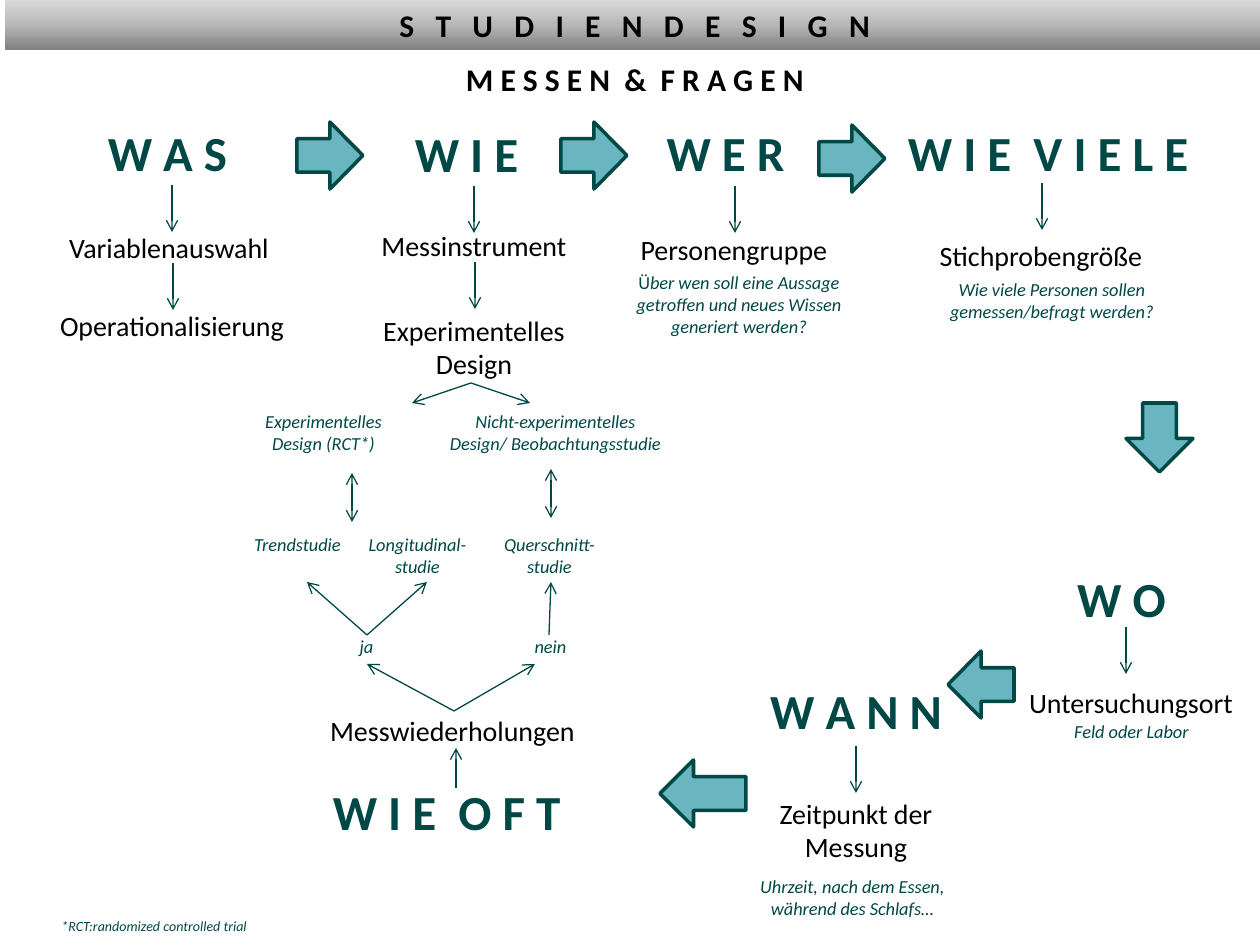
from copy import deepcopy

from lxml import etree
from pptx import Presentation
from pptx.dml.color import RGBColor
from pptx.enum.shapes import MSO_CONNECTOR, MSO_SHAPE
from pptx.enum.text import PP_ALIGN
from pptx.oxml.ns import qn
from pptx.util import Emu, Pt

SCALE = 914400 / 126
STRAIGHT = MSO_CONNECTOR.STRAIGHT
RECTANGLE, RIGHT_ARROW = MSO_SHAPE.RECTANGLE, MSO_SHAPE.RIGHT_ARROW
LEFT, CENTER = PP_ALIGN.LEFT, PP_ALIGN.CENTER
COLORS = {"ink": "000000", "petrol": "004846", "aqua": "6AB6C0"}
BANNER_STOPS = [(0, "808080"), (0.5, "B7B7B7"), (1, "D9D9D9")]
HEADING = {"size": 28, "bold": True, "color": "petrol"}
TITLE = {"size": 18, "bold": True}
TOPIC = {"size": 16}
NOTE = {"size": 10.5, "italic": True, "color": "petrol"}


def px(value):
    """Turn pixels into EMU."""
    return Emu(round(value * SCALE))


def rgb(name):
    """Look up a named colour."""
    return RGBColor.from_string(COLORS[name])


def spaced(text):
    """Set the letters of each word apart, with a wider gap between words."""
    return "  ".join(" ".join(word) for word in text.split())


def shifted(box, offset):
    """Move a box given relative to an origin."""
    return (box[0] + offset[0], box[1] + offset[1], *box[2:])


def add_text(page, box, text, size=16, color="ink", bold=False, italic=False,
             align=CENTER, wrap=True, upright=0):
    """Add a text box; the first `upright` characters are not italic."""
    frame = page.shapes.add_textbox(*map(px, box)).text_frame
    frame.word_wrap = wrap
    for index, line in enumerate(text.split("\n")):
        para = frame.paragraphs[0] if index == 0 else frame.add_paragraph()
        para.alignment = align
        for part, slanted in ((line[:upright], False), (line[upright:], italic)):
            if part:
                span = para.add_run()
                span.text = part
                span.font.name = "Calibri"
                span.font.size = Pt(size)
                span.font.bold = bold
                span.font.italic = slanted
                span.font.color.rgb = rgb(color)


def add_arrow(page, origin, start, end, both=False):
    """Add a thin arrow between two points relative to the origin."""
    points = [px(base + step) for point in (start, end)
              for base, step in zip(origin, point)]
    line = page.shapes.add_connector(STRAIGHT, *points)
    line.line.color.rgb = rgb("petrol")
    line.line.width = Pt(0.75)
    outline = line.line._get_or_add_ln()
    for tag in ("a:headEnd", "a:tailEnd") if both else ("a:tailEnd",):
        etree.SubElement(outline, qn(tag)).set("type", "arrow")
    etree.SubElement(line._element.spPr, qn("a:effectLst"))


def add_block_arrow(page, box, rotation=0):
    """Add a filled arrow leading to the next question."""
    arrow = page.shapes.add_shape(RIGHT_ARROW, *map(px, box))
    arrow.shadow.inherit = False
    arrow.rotation = rotation
    arrow.fill.solid()
    arrow.fill.fore_color.rgb = rgb("aqua")
    arrow.line.color.rgb = rgb("petrol")
    arrow.line.width = Pt(2)


def add_banner(page, box):
    """Add the grey title bar and the subtitle below it."""
    bar = page.shapes.add_shape(RECTANGLE, *map(px, box))
    bar.shadow.inherit = False
    bar.line.fill.background()
    bar.fill.gradient()
    bar.fill.gradient_angle = 90
    stop_list = bar._element.spPr.find(".//" + qn("a:gsLst"))
    stop_list.append(deepcopy(stop_list[0]))
    for stop, (position, color) in zip(bar.fill.gradient_stops, BANNER_STOPS):
        stop.position = position
        stop.color.rgb = RGBColor.from_string(color)
    add_text(page, box, "   ".join("STUDIENDESIGN"), **TITLE)
    add_text(page, shifted(box, (0, 54)), spaced("MESSEN & FRAGEN"), **TITLE)


def add_question(page, box, heading, parts, arrows):
    """Add a question word with its topics, notes and downward arrows."""
    add_text(page, box, spaced(heading), **HEADING)
    for offset, text, style in parts:
        add_text(page, shifted(offset, box), text, **style)
    for x, y in arrows:
        add_arrow(page, box, (x, y), (x, y + 47))


def add_design_tree(page, box):
    """Add the branches from the experimental design to the study types."""
    for x in (184, 302):
        add_arrow(page, box, (243, 0), (x, 20))
    for offset, text in [
        ((15, 21, 161, 57), "Experimentelles Design (RCT*)"),
        ((208, 21, 239, 57), "Nicht-experimentelles Design/ Beobachtungsstudie"),
        ((0, 144, 139, 35), "Trendstudie"),
        ((120, 144, 139, 57), "Longitudinal-\nstudie"),
        ((252, 144, 139, 57), "Querschnitt-studie"),
    ]:
        add_text(page, shifted(offset, box), text, **NOTE)
    for x, y in ((124, 90), (323, 86)):
        add_arrow(page, box, (x, y), (x, y + 49), both=True)


def add_repetition(page, box):
    """Add the question of how often, with its yes and no branches upward."""
    add_text(page, shifted((0, 193, 307, 72), box), spaced("WIE OFT"), **HEADING)
    add_text(page, shifted((21, 125, 277, 47), box), "Messwiederholungen", **TOPIC)
    for x, answer in ((4, "ja"), (188, "nein")):
        add_text(page, shifted((x, 47, 139, 35), box), answer, **NOTE)
    for start, end in [
        ((163, 206), (163, 166)),
        ((161, 129), (242, 82)), ((161, 129), (74, 82)),
        ((74, 53), (14, 0)), ((74, 53), (134, 0)), ((256, 53), (258, 0)),
    ]:
        add_arrow(page, box, start, end)


QUESTIONS = [
    ((93, 116, 149, 72), "WAS",
     [((-43, 108, 238, 47), "Variablenauswahl", TOPIC),
      ((-55, 186, 268, 47), "Operationalisierung", TOPIC)],
     [(79, 69), (80, 147)]),
    ((397, 117, 139, 72), "WIE",
     [((-42, 105, 238, 47), "Messinstrument", TOPIC),
      ((-57, 190, 268, 81), "Experimentelles Design", TOPIC)],
     [(77, 69), (78, 145)]),
    ((641, 116, 169, 72), "WER",
     [((-26, 110, 238, 47), "Personengruppe", TOPIC),
      ((-36, 149, 268, 79), "Über wen soll eine Aussage getroffen und neues "
       "Wissen generiert werden?", {**NOTE, "upright": 1})],
     [(94, 70)]),
    ((893, 116, 310, 72), "WIE VIELE",
     [((29, 116, 238, 47), "Stichprobengröße", TOPIC),
      ((-10, 156, 338, 57),
       "Wie viele Personen sollen gemessen/befragt werden?", NOTE)],
     [(149, 67)]),
    ((1052, 562, 139, 72), "WO",
     [((-40, 117, 238, 47), "Untersuchungsort", TOPIC),
      ((0, 152, 159, 35), "Feld oder Labor", NOTE)],
     [(74, 65)]),
    ((747, 674, 218, 72), "WANN",
     [((-10, 116, 238, 81), "Zeitpunkt der Messung", TOPIC),
      ((-33, 195, 277, 57),
       "Uhrzeit, nach dem Essen, während des Schlafs…", NOTE)],
     [(109, 72)]),
]
BLOCK_ARROWS = [
    ((297, 122, 66, 67), 0), ((561, 122, 66, 67), 0), ((819, 125, 66, 67), 0),
    ((1125, 404, 69, 67), 90), ((948, 651, 66, 67), 180), ((660, 760, 86, 67), 180),
]


def main():
    """Build the slide and save the deck."""
    deck = Presentation()
    deck.slide_width, deck.slide_height = px(1260), px(945)
    page = deck.slides.add_slide(deck.slide_layouts[6])
    add_banner(page, (5, 0, 1260, 50))
    for question in QUESTIONS:
        add_question(page, *question)
    add_design_tree(page, (228, 383))
    add_repetition(page, (293, 582))
    for box, rotation in BLOCK_ARROWS:
        add_block_arrow(page, box, rotation)
    add_text(page, (49, 911, 214, 30), "*RCT:randomized controlled trial",
             **{**NOTE, "size": 8}, align=LEFT, wrap=False)
    deck.save("out.pptx")


main()
